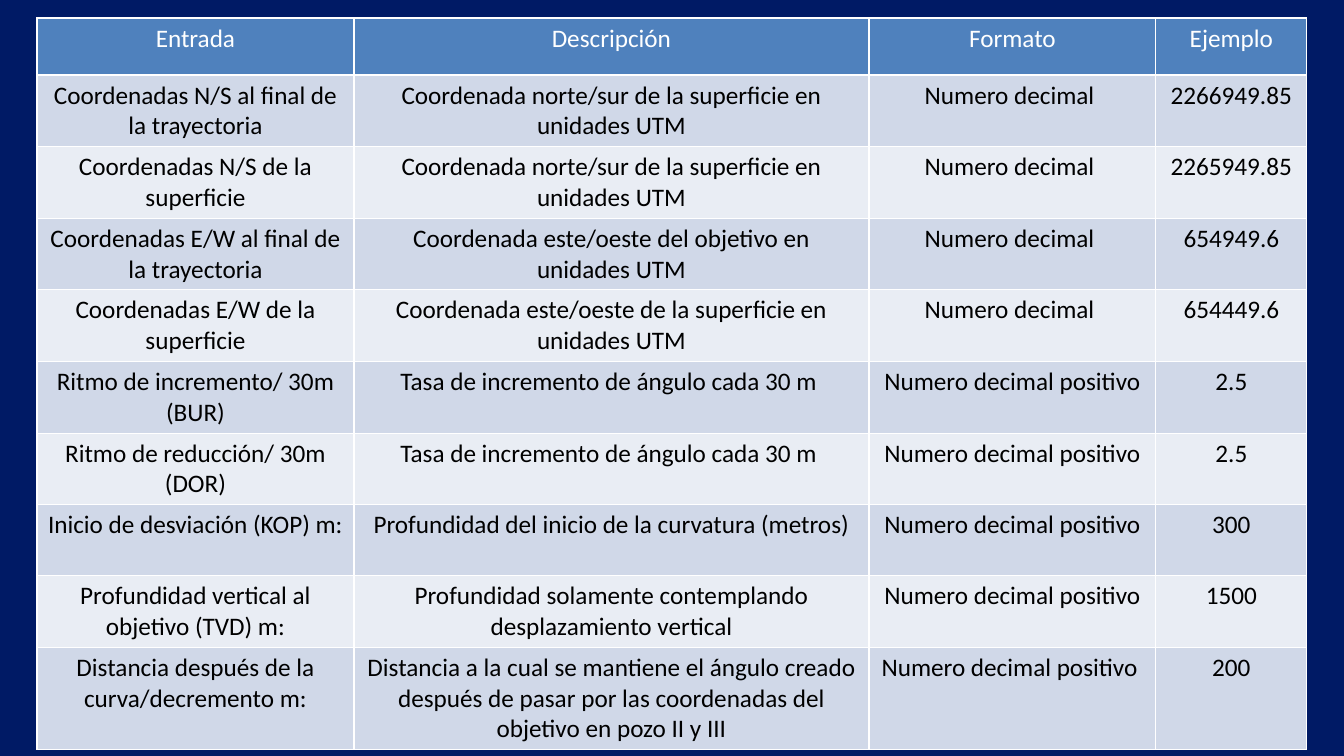
from lxml.etree import SubElement
from pptx import Presentation
from pptx.dml.color import RGBColor
from pptx.enum.text import PP_ALIGN
from pptx.oxml.ns import qn
from pptx.util import Pt

EMU_PER_PX = 914400 / 100.8
NAVY = RGBColor(0x00, 0x1A, 0x65)
BLUE = RGBColor(0x4F, 0x81, 0xBD)
BAND_DARK = RGBColor(0xD0, 0xD8, 0xE8)
BAND_LIGHT = RGBColor(0xE9, 0xED, 0xF4)
WHITE = RGBColor(0xFF, 0xFF, 0xFF)
BLACK = RGBColor(0x00, 0x00, 0x00)

COLUMN_WIDTHS = [317, 515, 287, 151]
ROW_HEIGHTS = [57] + [71] * 8 + [102]
DECIMAL = "Numero decimal "
POSITIVE = "Numero decimal positivo"
INPUTS = [
    ("Entrada", "Descripción", "Formato", "Ejemplo"),
    ("Coordenadas N/S al final de la trayectoria",
     "Coordenada norte/sur de la superficie en unidades UTM", DECIMAL, "2266949.85"),
    ("Coordenadas N/S de la superficie",
     "Coordenada norte/sur de la superficie en unidades UTM", DECIMAL, "2265949.85"),
    ("Coordenadas E/W al final de la trayectoria",
     "Coordenada este/oeste del objetivo en unidades UTM", DECIMAL, "654949.6"),
    ("Coordenadas E/W de la superficie",
     "Coordenada este/oeste de la superficie en unidades UTM", DECIMAL, "654449.6"),
    ("Ritmo de incremento/ 30m (BUR)",
     "Tasa de incremento de ángulo cada 30 m ", POSITIVE, "2.5"),
    ("Ritmo de reducción/ 30m (DOR)",
     "Tasa de incremento de ángulo cada 30 m ", POSITIVE, "2.5"),
    ("Inicio de desviación (KOP) m:",
     "Profundidad del inicio de la curvatura (metros)", POSITIVE, "300"),
    ("Profundidad vertical al objetivo (TVD) m:",
     "Profundidad solamente contemplando desplazamiento vertical", POSITIVE, "1500"),
    ("Distancia después de la curva/decremento m:",
     "Distancia a la cual se mantiene el ángulo creado después de pasar por "
     "las coordenadas del objetivo en pozo II y III", POSITIVE + " ", "200"),
]


def px(length):
    return round(length * EMU_PER_PX)


class SlideBuilder:
    """Holds the text style and the page that elements are added to."""

    font_name = "Calibri"
    font_size = Pt(18)
    border_width = Pt(1)

    def __init__(self, deck):
        self.page = deck.slides.add_slide(deck.slide_layouts[6])

    def background(self, color):
        fill = self.page.background.fill
        fill.solid()
        fill.fore_color.rgb = color

    def table(self, left, top, widths, heights, rows):
        """Add a table with a header row and alternating body bands."""
        frame = self.page.shapes.add_table(
            len(rows), len(widths), px(left), px(top), px(sum(widths)), px(sum(heights)))
        table = frame.table
        table.horz_banding = False
        for column, width in zip(table.columns, widths):
            column.width = px(width)
        for row, height in zip(table.rows, heights):
            row.height = px(height)
        for index, texts in enumerate(rows):
            if index == 0:
                fill, color = BLUE, WHITE
            else:
                fill, color = (BAND_DARK if index % 2 else BAND_LIGHT), BLACK
            for cell, text in zip(table.rows[index].cells, texts):
                self.cell(cell, text, fill, color)

    def cell(self, cell, text, fill, color):
        self.borders(cell)
        cell.fill.solid()
        cell.fill.fore_color.rgb = fill
        cell.text_frame.text = text
        para = cell.text_frame.paragraphs[0]
        para.alignment = PP_ALIGN.CENTER
        for span in para.runs:
            span.font.name = self.font_name
            span.font.size = self.font_size
            span.font.bold = False
            span.font.color.rgb = color

    def borders(self, cell):
        properties = cell._tc.get_or_add_tcPr()
        for side in ("a:lnL", "a:lnR", "a:lnT", "a:lnB"):
            line = SubElement(properties, qn(side), w=str(self.border_width))
            solid = SubElement(line, qn("a:solidFill"))
            SubElement(solid, qn("a:srgbClr"), val=str(WHITE))


def main():
    deck = Presentation()
    deck.slide_width, deck.slide_height = px(1344), px(756)
    builder = SlideBuilder(deck)
    builder.background(NAVY)
    builder.table(37, 18, COLUMN_WIDTHS, ROW_HEIGHTS, INPUTS)
    deck.save("out.pptx")


if __name__ == "__main__":
    main()
